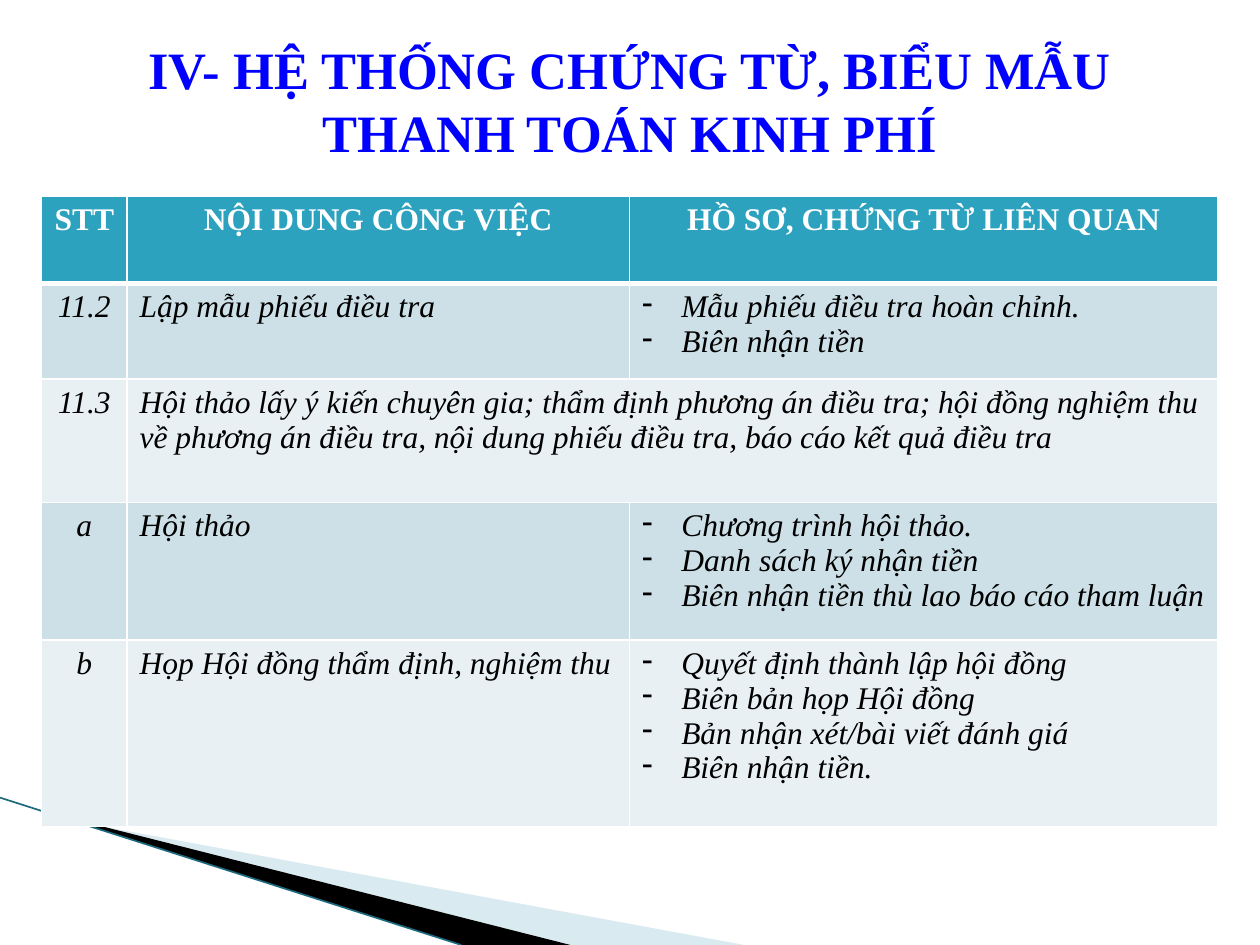
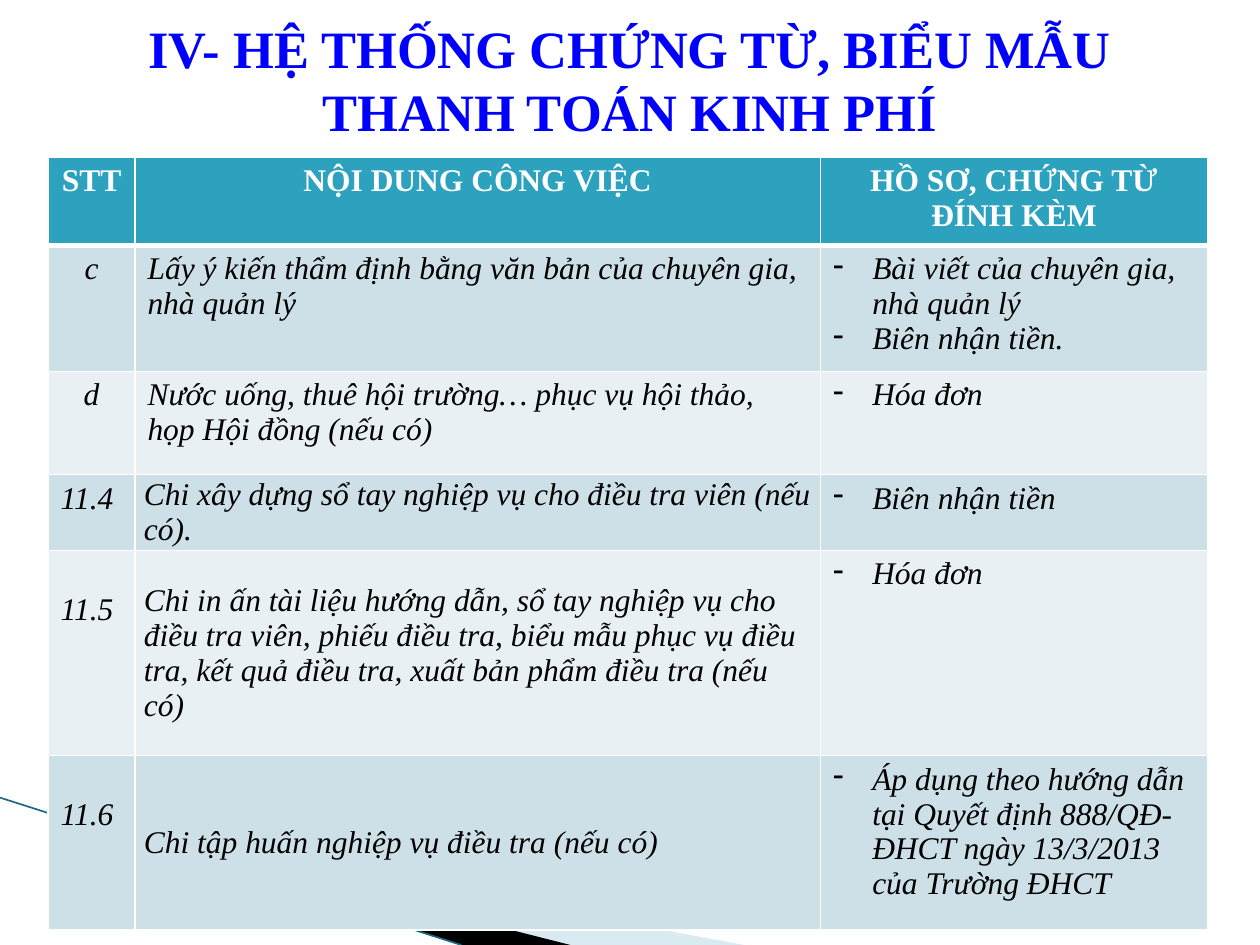
from pptx import Presentation
from pptx.util import Cm, Pt
from pptx.dml.color import RGBColor
from pptx.enum.shapes import MSO_CONNECTOR as CONN
from pptx.enum.text import PP_ALIGN as AL, MSO_ANCHOR as ANC
from pptx.oxml.ns import qn
from lxml.etree import SubElement

# Shared look
FONT = "Times New Roman"
TITLE = "IV- HỆ THỐNG CHỨNG TỪ, BIỂU MẪU THANH TOÁN KINH PHÍ"
BLUE, TEAL, WHITE, BLACK = "0000FF", "2DA2BF", "FFFFFF", "000000"
PALE, LINE = "A0CBDC", "1B6A7D"
BANDS = ["CDE0E8", "E8F0F4"]
HEAD_FMT = {"size": Pt(18), "name": FONT, "bold": True, "italic": False}
BODY_FMT = {"size": Pt(18), "name": FONT, "bold": False, "italic": True}
TITLE_FMT = {"size": Pt(30), "name": FONT, "bold": True}
WEDGES = [  # points in cm, fill, alpha
    ([(1.4, 16.54), (15, 19.05), (11.5, 19.05), (1.4, 16.51)], PALE, 40),
    ([(1.35, 16.48), (11.5, 19.05), (9.3, 19.05), (1.37, 16.51)], BLACK, 100),
]

# Cell options: the numbered items of the second table sit differently
LEFT = {"stt_al": AL.LEFT, "inset": True}
LOW = {**LEFT, "stt_top": Cm(0.84)}

# Each row: number, work, documents (None = work spans both columns), options
SLIDES = [
    {"title_top": 0.43, "left": 0.84, "top": 3.96,
     "cols": [1.72, 10.13, 11.86],
     "heights": [1.75, 1.93, 2.49, 2.77, 3.76],
     "docs_head": "HỒ SƠ, CHỨNG TỪ LIÊN QUAN",
     "rows": [
         ("11.2", "Lập mẫu phiếu điều tra",
          ["Mẫu phiếu điều tra hoàn chỉnh.", "Biên nhận tiền"], {}),
         ("11.3", "Hội thảo lấy ý kiến chuyên gia; thẩm định phương án điều tra; "
          "hội đồng nghiệm thu về phương án điều tra, nội dung phiếu điều tra, "
          "báo cáo kết quả điều tra", None, {}),
         ("a", "Hội thảo",
          ["Chương trình hội thảo.", "Danh sách ký nhận tiền",
           "Biên nhận tiền thù lao báo cáo tham luận"], {}),
         ("b", "Họp Hội đồng thẩm định, nghiệm thu",
          ["Quyết định thành lập hội đồng", "Biên bản họp Hội đồng",
           "Bản nhận xét/bài viết đánh giá", "Biên nhận tiền."], {}),
     ]},
    {"title_top": 0, "left": 0.97, "top": 3.17,
     "cols": [1.75, 13.82, 7.8],
     "heights": [1.65, 2.36, 2.08, 1.45, 4.14, 3.51],
     "docs_head": "HỒ SƠ, CHỨNG TỪ ĐÍNH KÈM",
     "rows": [
         ("c", "Lấy ý kiến thẩm định bằng văn bản của chuyên gia, nhà quản lý",
          ["Bài viết của chuyên gia, nhà quản lý", "Biên nhận tiền."], {}),
         ("d", "Nước uống, thuê hội trường… phục vụ hội thảo, họp Hội đồng (nếu có)",
          ["Hóa đơn"], {}),
         ("11.4", "Chi xây dựng sổ tay nghiệp vụ cho điều tra viên (nếu có).",
          ["Biên nhận tiền"], LEFT),
         ("11.5", "Chi in ấn tài liệu hướng dẫn, sổ tay nghiệp vụ cho điều tra viên, "
          "phiếu điều tra, biểu mẫu phục vụ điều tra, kết quả điều tra, "
          "xuất bản phẩm điều tra (nếu có)", ["Hóa đơn"], LOW),
         ("11.6", "Chi tập huấn nghiệp vụ điều tra (nếu có)",
          ["Áp dụng theo hướng dẫn tại Quyết định 888/QĐ-ĐHCT ngày 13/3/2013 "
           "của Trường ĐHCT"], LOW),
     ]},
]


def rgb(color):
    return RGBColor.from_string(color)


def write(tf, lines, fmt, color, align=AL.LEFT, bullet=False):
    for i, line in enumerate(lines):
        p = tf.add_paragraph() if i else tf.paragraphs[0]
        p.alignment = align
        r = p.add_run()
        r.text = line
        for key, value in fmt.items():
            setattr(r.font, key, value)
        r.font.color.rgb = rgb(color)
        if bullet:
            pPr = p._p.get_or_add_pPr()
            pPr.set("marL", str(Cm(0.79)))
            pPr.set("indent", str(-Cm(0.79)))
            SubElement(pPr, qn("a:buChar"), char="-")


prs = Presentation()
prs.slide_width, prs.slide_height = Cm(25.4), Cm(19.05)

for data in SLIDES:
    s = prs.slides.add_slide(prs.slide_layouts[6])

    # Corner wedges
    for points, color, alpha in WEDGES:
        pts = [(Cm(x), Cm(y)) for x, y in points]
        fb = s.shapes.build_freeform(*pts[0])
        fb.add_line_segments(pts[1:], close=True)
        sp = fb.convert_to_shape()
        sp.shadow.inherit = False
        sp.fill.solid()
        sp.fill.fore_color.rgb = rgb(color)
        sp.line.fill.background()
        if alpha < 100:
            clr = sp._element.spPr.find(".//" + qn("a:srgbClr"))
            SubElement(clr, qn("a:alpha"), val=str(alpha * 1000))

    # Corner line
    ln = s.shapes.add_connector(CONN.STRAIGHT, Cm(0), Cm(16.08), Cm(9.3), Cm(19.05))
    ln.line.color.rgb = rgb(LINE)
    ln.line.width = Pt(0.95)
    SubElement(ln._element.spPr, qn("a:effectLst"))

    # Title
    tb = s.shapes.add_textbox(Cm(1.27), Cm(data["title_top"]), Cm(22.86), Cm(3.17))
    tf = tb.text_frame
    tf.word_wrap = True
    tf.vertical_anchor = ANC.MIDDLE
    write(tf, [TITLE], TITLE_FMT, BLUE, AL.CENTER)

    # Table grid
    cols, heights = data["cols"], data["heights"]
    tbl = s.shapes.add_table(len(heights), len(cols), Cm(data["left"]), Cm(data["top"]),
                             Cm(sum(cols)), Cm(sum(heights))).table
    for col, w in zip(tbl.columns, cols):
        col.width = Cm(w)
    for row, h in zip(tbl.rows, heights):
        row.height = Cm(h)

    # Borders and banded fills
    for i, row in enumerate(tbl.rows):
        for cell in row.cells:
            tcPr = cell._tc.get_or_add_tcPr()
            for side in "LRTB":
                thick = (i, side) in [(0, "B"), (1, "T")]
                edge = SubElement(tcPr, qn("a:ln" + side), w=str(Pt(3 if thick else 1)))
                SubElement(SubElement(edge, qn("a:solidFill")), qn("a:srgbClr"), val=WHITE)
            cell.fill.solid()
            cell.fill.fore_color.rgb = rgb(BANDS[(i - 1) % 2] if i else TEAL)

    # Header row
    for j, head in enumerate(["STT", "NỘI DUNG CÔNG VIỆC", data["docs_head"]]):
        write(tbl.cell(0, j).text_frame, [head], HEAD_FMT, WHITE, AL.CENTER)

    # Body rows
    for i, (number, work, docs, opt) in enumerate(data["rows"], 1):
        stt, task, files = tbl.rows[i].cells
        write(stt.text_frame, [number], BODY_FMT, BLACK, opt.get("stt_al", AL.CENTER))
        if "stt_top" in opt:
            stt.margin_top = opt["stt_top"]
        if docs is None:
            task.merge(files)
        else:
            write(files.text_frame, docs, BODY_FMT, BLACK, bullet=True)
        write(task.text_frame, [work], BODY_FMT, BLACK)
        if "inset" in opt:
            task.vertical_anchor = ANC.MIDDLE
            task.margin_left = task.margin_right = Cm(0.18)
            task.margin_top = task.margin_bottom = 0
            task.text_frame.paragraphs[0].space_before = Pt(6)

prs.save("out.pptx")
